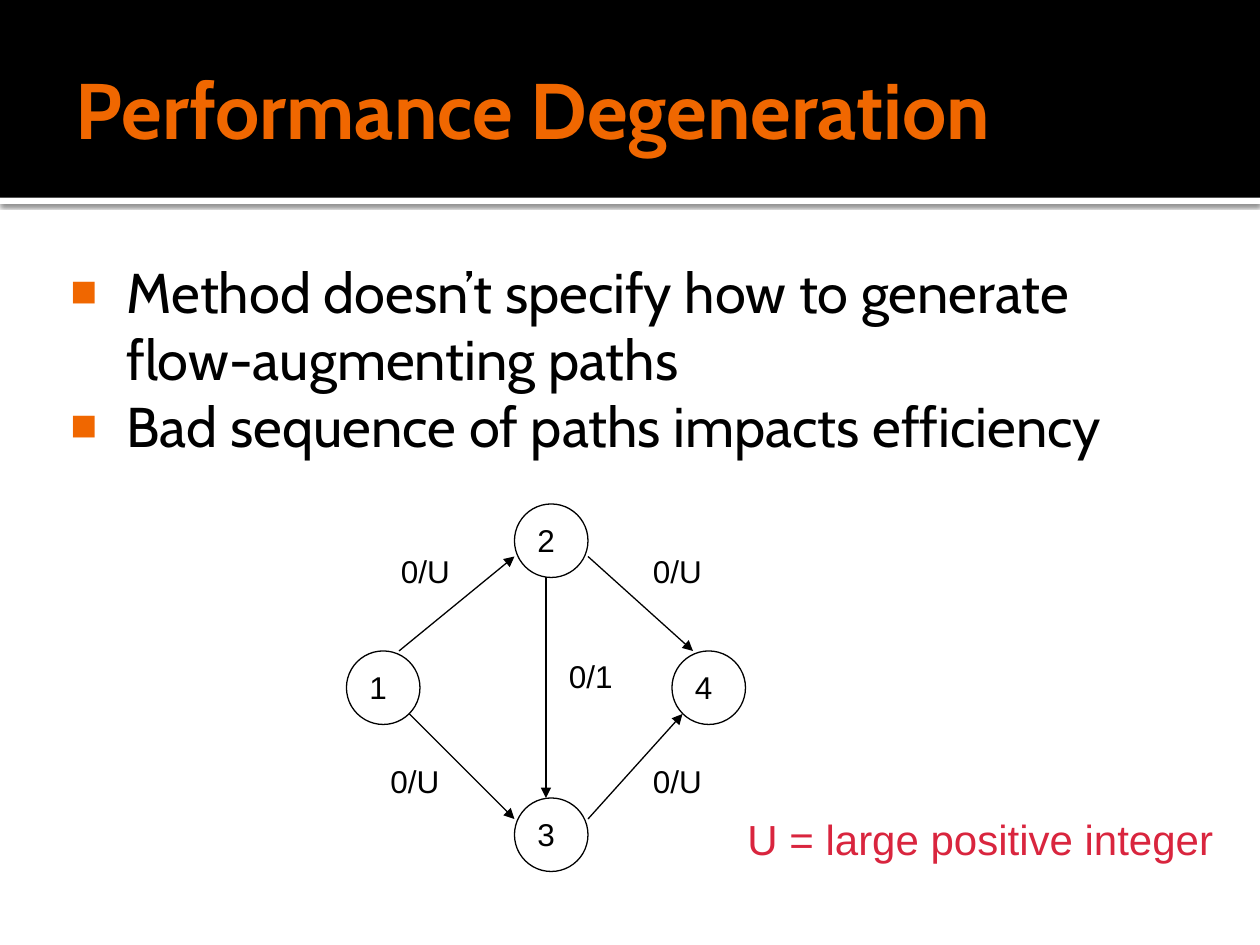
"""Build the Performance Degeneration slide with its small flow network."""
from lxml.etree import SubElement
from pptx import Presentation
from pptx.dml.color import RGBColor
from pptx.enum.shapes import MSO_CONNECTOR, MSO_SHAPE
from pptx.enum.text import MSO_ANCHOR, MSO_AUTO_SIZE, PP_ALIGN
from pptx.oxml import parse_xml
from pptx.oxml.ns import nsdecls, qn
from pptx.util import Pt

BLACK = RGBColor(0x00, 0x00, 0x00)
WHITE = RGBColor(0xFF, 0xFF, 0xFF)
ORANGE = RGBColor(0xF0, 0x67, 0x00)
RED = RGBColor(0xD9, 0x25, 0x3E)

NODE_SIZE = 42
NODES = {"3": (294, 456), "2": (294, 288), "1": (198, 372), "4": (384, 372)}
EDGES = [
    (234, 408, 294, 468),
    (336, 468, 390, 408),
    (228, 372, 294, 318),
    (336, 318, 396, 372),
    (312, 330, 312, 456),
]
CAPACITIES = [
    ("0/U", 222, 312),
    ("0/U", 366, 312),
    ("0/1", 318, 372),
    ("0/U", 366, 432),
    ("0/U", 216, 432),
]
BULLETS = [
    "Method doesn’t specify how to generate flow-augmenting paths",
    "Bad sequence of paths impacts efficiency",
]

presentation = Presentation()
presentation.slide_width, presentation.slide_height = Pt(720), Pt(540)
slide = presentation.slides.add_slide(presentation.slide_layouts[5])
shapes = slide.shapes


def write(paragraph, text, *, size=18, font="Arial", color=BLACK, bold=False):
    paragraph.text = text
    paragraph.alignment = PP_ALIGN.LEFT
    paragraph.font.size = Pt(size)
    paragraph.font.name = font
    paragraph.font.bold = bold
    paragraph.font.color.rgb = color


def add_label(text, left, top, width, height=29, **text_format):
    label = shapes.add_textbox(Pt(left), Pt(top), Pt(width), Pt(height))
    label.text_frame.word_wrap = False
    label.text_frame.auto_size = MSO_AUTO_SIZE.SHAPE_TO_FIT_TEXT
    write(label.text_frame.paragraphs[0], text, **text_format)


for top, height, color in [(113, 3.6, WHITE), (0, 113, BLACK)]:
    band = shapes.add_shape(MSO_SHAPE.RECTANGLE, 0, Pt(top), Pt(720), Pt(height))
    band.shadow.inherit = False
    band.fill.solid()
    band.fill.fore_color.rgb = color
    band.line.fill.background()
    if color == WHITE:
        effects = band.element.spPr.find(qn("a:effectLst"))
        effects.append(parse_xml(
            f'<a:outerShdw {nsdecls("a")} blurRad="{Pt(2.5)}" dist="{Pt(0.8)}" '
            'dir="5400000" algn="tl" rotWithShape="0"><a:srgbClr val="000000">'
            '<a:alpha val="60000"/></a:srgbClr></a:outerShdw>'
        ))

title = shapes.title
shapes.element.append(title.element)
title.left, title.top, title.width, title.height = Pt(36), Pt(12), Pt(648), Pt(99)
frame = title.text_frame
frame.vertical_anchor = MSO_ANCHOR.MIDDLE
frame.auto_size = MSO_AUTO_SIZE.NONE
frame.margin_left = Pt(7.2)
frame.margin_right = frame.margin_top = frame.margin_bottom = Pt(3.6)
write(frame.paragraphs[0], "Performance Degeneration",
      size=45, font="Cabin", color=ORANGE, bold=True)

body = shapes.add_textbox(Pt(36), Pt(139.7), Pt(648), Pt(364))
frame = body.text_frame
frame.word_wrap = True
frame.margin_left, frame.margin_right = Pt(4.3), Pt(7.2)
frame.margin_top, frame.margin_bottom = Pt(7.2), Pt(3.6)
for index, text in enumerate(BULLETS):
    paragraph = frame.add_paragraph() if index else frame.paragraphs[0]
    properties = paragraph._p.get_or_add_pPr()
    properties.set("marL", str(Pt(32)))
    properties.set("indent", str(-Pt(32)))
    bullet_color = SubElement(properties, qn("a:buClr"))
    SubElement(bullet_color, qn("a:srgbClr"), val=str(ORANGE))
    SubElement(properties, qn("a:buSzPct"), val="80000")
    SubElement(properties, qn("a:buFont"), typeface="Arial")
    SubElement(properties, qn("a:buChar"), char="■")
    write(paragraph, text, size=32, font="Cabin")

for number, (left, top) in NODES.items():
    node = shapes.add_shape(
        MSO_SHAPE.OVAL, Pt(left), Pt(top), Pt(NODE_SIZE), Pt(NODE_SIZE))
    node.shadow.inherit = False
    node.fill.background()
    node.line.color.rgb = BLACK
    node.line.width = Pt(0.75)
    add_label(number, left + 6, top + 6, 24.5)

for edge in EDGES:
    arrow = shapes.add_connector(MSO_CONNECTOR.STRAIGHT, *map(Pt, edge))
    arrow.line.color.rgb = BLACK
    arrow.line.width = Pt(0.75)
    SubElement(arrow.line._get_or_add_ln(), qn("a:tailEnd"), type="triangle")
    SubElement(arrow.element.spPr, qn("a:effectLst"))

for text, left, top in CAPACITIES:
    add_label(text, left, top, 42.5 if text == "0/U" else 39.5)

add_label("U = large positive integer", 420, 461.5, 283.5, 36, size=24, color=RED)

presentation.save("out.pptx")
